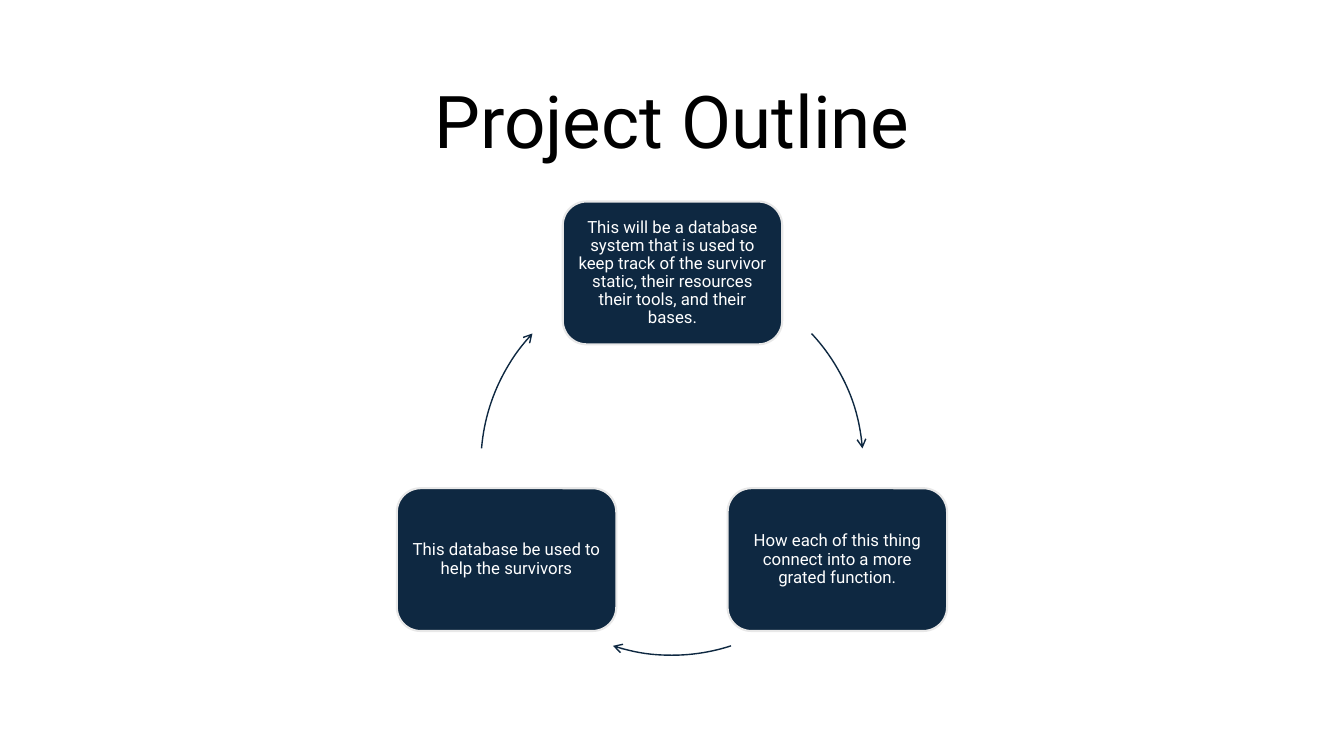
from dataclasses import dataclass
from math import cos, radians, sin

from pptx import Presentation
from pptx import util as u
from pptx.dml.color import RGBColor
from pptx.enum import shapes, text
from pptx.oxml import parse_xml
from pptx.oxml.ns import nsdecls

PX = 9525  # EMU per px, 96 px to the inch


@dataclass(frozen=True)
class Theme:
    font: str = "Roboto"
    navy: str = "0E2841"
    edge: str = "E8E8E8"
    white: str = "FFFFFF"
    black: str = "000000"
    title: int = 52
    body: int = 12


@dataclass(frozen=True)
class Node:
    angle: int  # degrees clockwise from the right
    words: str


@dataclass(frozen=True)
class Arc:
    start: float
    end: float


THEME = Theme()
MID_X, MID_Y, RADIUS = 640, 442, 182
NODE_W, NODE_H, INSET = 209, 136, 5

NODES = [
    Node(-90, "This will be a database system that is used to keep track of the "
              "survivor static, their resources their tools, and their bases."),
    Node(30, "How each of this thing connect into a more grated function."),
    Node(150, "This database be used to help the survivors"),
]
ARCS = [Arc(316.9, 355.3), Arc(72, 108), Arc(184.7, 223.1)]


def px(*sizes: float) -> list[int]:
    return [round(size) * PX for size in sizes]


def color(code: str) -> RGBColor:
    return RGBColor.from_string(code)


def write(frame, words: str, size: int, code: str) -> None:
    frame.word_wrap = True
    frame.vertical_anchor = text.MSO_ANCHOR.MIDDLE
    para = frame.paragraphs[0]
    para.text = words
    para.alignment = text.PP_ALIGN.CENTER
    para.line_spacing = 0.9
    para.font.name = THEME.font
    para.font.size = u.Pt(size)
    para.font.color.rgb = color(code)


def add_node(slide, node: Node) -> None:
    turn = radians(node.angle)
    left = MID_X + RADIUS * cos(turn) - NODE_W / 2
    top = MID_Y + RADIUS * sin(turn) - NODE_H / 2
    box = slide.shapes.add_shape(
        shapes.MSO_SHAPE.ROUNDED_RECTANGLE, *px(left, top, NODE_W, NODE_H))
    box.shadow.inherit = False
    box.fill.solid()
    box.fill.fore_color.rgb = color(THEME.navy)
    box.line.color.rgb = color(THEME.edge)
    box.line.width = u.Pt(1.5)
    frame = box.text_frame
    frame.margin_left = frame.margin_right = INSET * PX
    frame.margin_top = frame.margin_bottom = INSET * PX
    write(frame, node.words, THEME.body, THEME.white)


def add_arc(slide, arc: Arc) -> None:
    curve = slide.shapes.add_shape(
        shapes.MSO_SHAPE.ARC,
        *px(MID_X - RADIUS, MID_Y - RADIUS, 2 * RADIUS, 2 * RADIUS))
    # Adjustments count 60000ths of a degree, scaled by 100000
    curve.adjustments[0] = arc.start * 0.6
    curve.adjustments[1] = arc.end * 0.6
    curve.shadow.inherit = False
    curve.fill.background()
    curve.line.color.rgb = color(THEME.navy)
    curve.line.width = u.Pt(1)
    head = parse_xml(f'<a:tailEnd {nsdecls("a")} type="arrow"/>')
    curve.line._get_or_add_ln().append(head)


def main() -> None:
    deck = Presentation()
    deck.slide_width, deck.slide_height = px(1280, 720)
    slide = deck.slides.add_slide(deck.slide_layouts[6])

    # Title
    title = slide.shapes.add_textbox(*px(88, 59, 1104, 119))
    write(title.text_frame, "Project Outline", THEME.title, THEME.black)

    # Cycle: each node is followed by the arrow to the next
    for node, arc in zip(NODES, ARCS):
        add_node(slide, node)
        add_arc(slide, arc)

    deck.save("out.pptx")


if __name__ == "__main__":
    main()
